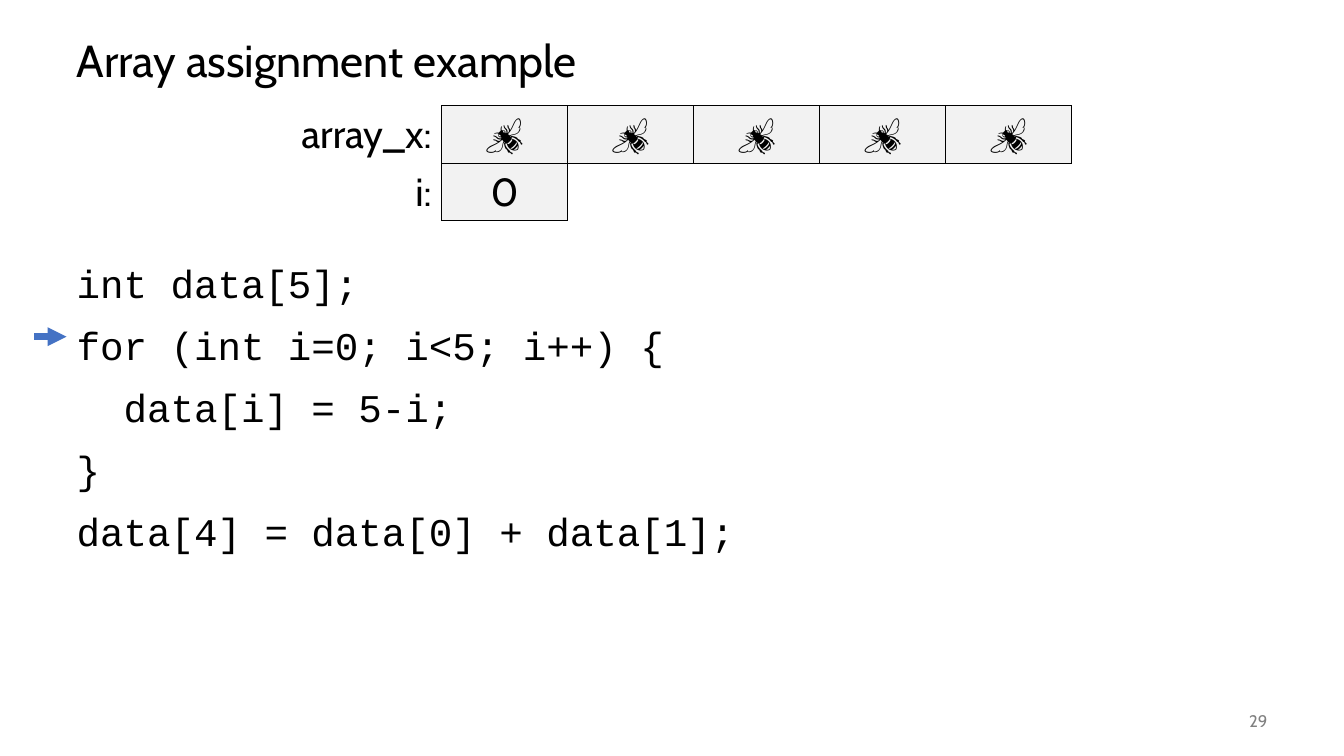
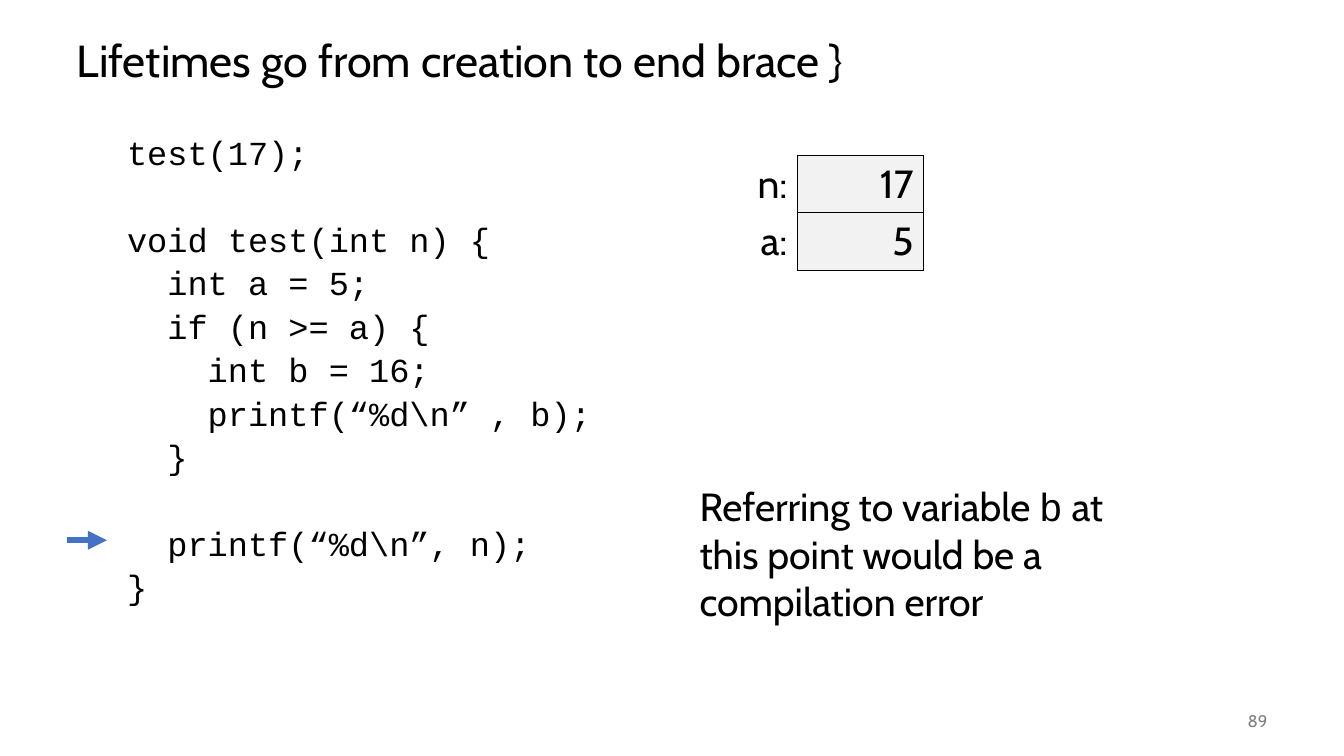
from dataclasses import dataclass

from lxml.etree import SubElement
from pptx import Presentation
from pptx.dml.color import RGBColor
from pptx.enum.shapes import MSO_CONNECTOR
from pptx.enum.text import MSO_ANCHOR, MSO_AUTO_SIZE, PP_ALIGN
from pptx.oxml.ns import qn
from pptx.util import Inches, Pt


@dataclass(frozen=True)
class Theme:
    text: str = "Cabin"
    code: str = "Courier New"
    ink: RGBColor = RGBColor(0, 0, 0)
    muted: RGBColor = RGBColor(0x80, 0x80, 0x80)
    cell: RGBColor = RGBColor(0xF2, 0xF2, 0xF2)
    accent: RGBColor = RGBColor(0x44, 0x72, 0xC4)
    title_size: int = 32
    body_size: int = 28
    small_code_size: int = 24
    number_size: int = 12
    border: float = 1
    arrow: float = 4.5
    row_height: float = 0.57
    no_grid: str = "{2D5ABB26-0587-4C30-8999-92F81FD0307C}"


def apply(target, values):
    for name, value in values.items():
        setattr(target, name, value)


class Deck:
    def __init__(self, theme):
        self.theme = theme
        self.prs = Presentation()
        apply(self.prs, {"slide_width": Inches(13.33), "slide_height": Inches(7.5)})
        self.slide = None

    def place(self, sp, left, top, width, height):
        box = {"left": left, "top": top, "width": width, "height": height}
        apply(sp, {name: Inches(value) for name, value in box.items()})

    def styled_run(self, p, text, size=None, font=None, color=None):
        r = p.add_run()
        r.text = text
        apply(r.font, {"name": font or self.theme.text,
                       "size": Pt(size or self.theme.body_size)})
        r.font.color.rgb = color or self.theme.ink

    def add_slide(self, title, number):
        self.slide = self.prs.slides.add_slide(self.prs.slide_layouts[1])
        sp = self.slide.shapes.title
        self.place(sp, 0.66, 0.25, 12, 0.75)
        apply(sp.text_frame, {"vertical_anchor": MSO_ANCHOR.MIDDLE,
                              "auto_size": MSO_AUTO_SIZE.NONE})
        p = sp.text_frame.paragraphs[0]
        apply(p, {"alignment": PP_ALIGN.LEFT, "line_spacing": 0.9})
        self.styled_run(p, title, self.theme.title_size)
        self.text([(str(number), None)], (11.67, 6.95, 1, 0.4),
                  self.theme.number_size, self.theme.muted, PP_ALIGN.RIGHT,
                  MSO_ANCHOR.MIDDLE)

    def text(self, runs, box, size=None, color=None, align=PP_ALIGN.LEFT,
             anchor=MSO_ANCHOR.TOP):
        sp = self.slide.shapes.add_textbox(*map(Inches, box))
        apply(sp.text_frame, {"word_wrap": True, "vertical_anchor": anchor})
        p = sp.text_frame.paragraphs[0]
        p.alignment = align
        for words, font in runs:
            self.styled_run(p, words, size, font, color)

    def code(self, source, top, size, line, gap, level=0):
        """Fill the body with code; an empty source line widens the gap."""
        sp = self.slide.placeholders[1]
        self.place(sp, 0.66, top, 12, 6.75 - top)
        tf = sp.text_frame
        tf.auto_size = MSO_AUTO_SIZE.NONE
        before = 0
        for row in source.split("\n"):
            if not row:
                before += line + gap
                continue
            p = tf.add_paragraph() if tf.paragraphs[0].runs else tf.paragraphs[0]
            apply(p, {"level": level, "alignment": PP_ALIGN.LEFT,
                      "line_spacing": Pt(line), "space_before": Pt(before)})
            pPr = p._p.get_or_add_pPr()
            pPr.set("marL", str(Inches(0.5 * level)))
            pPr.set("indent", "0")
            SubElement(pPr, qn("a:buNone"))
            self.styled_run(p, row, size, self.theme.code)
            before = gap

    def outline(self, cell, sides):
        for side in sides:
            ln = SubElement(cell._tc.get_or_add_tcPr(), qn(f"a:ln{side}"),
                            w=str(Pt(self.theme.border)))
            fill = SubElement(ln, qn("a:solidFill"))
            SubElement(fill, qn("a:srgbClr"), val=str(self.theme.ink))

    def variables(self, rows, left, top, label_width, align):
        """Draw memory as a table: a label, then one boxed cell per value."""
        t, cell_width = self.theme, 1.25
        count = max(len(values) for _, values in rows)
        width = label_width + count * cell_width
        frame = self.slide.shapes.add_table(
            len(rows), count + 1, Inches(left), Inches(top), Inches(width),
            Inches(len(rows) * t.row_height))
        table = frame.table
        apply(table, {"first_row": False, "horz_banding": False})
        table._tbl.tblPr.find(qn("a:tableStyleId")).text = t.no_grid
        for i, column in enumerate(table.columns):
            column.width = Inches(cell_width if i else label_width)
        for y, (label, values) in enumerate(rows):
            table.rows[y].height = Inches(t.row_height)
            for x, words in enumerate([label, *values]):
                cell = table.cell(y, x)
                p = cell.text_frame.paragraphs[0]
                p.alignment = align if x else PP_ALIGN.RIGHT
                self.styled_run(p, words)
                self.outline(cell, "LRTB" if x else "R")
                if x:
                    cell.fill.solid()
                    cell.fill.fore_color.rgb = t.cell

    def step_arrow(self, start, end, y):
        """Point at the line of code being run."""
        sp = self.slide.shapes.add_connector(
            MSO_CONNECTOR.STRAIGHT, *map(Inches, (start, y, end, y)))
        sp.line.color.rgb = self.theme.accent
        sp.line.width = Pt(self.theme.arrow)
        SubElement(sp.get_or_add_ln(), qn("a:tailEnd"), type="triangle")
        SubElement(sp._element.spPr, qn("a:effectLst"))


ARRAY_CODE = """int data[5];
for (int i=0; i<5; i++) {
  data[i] = 5-i;
}
data[4] = data[0] + data[1];"""

LIFETIME_CODE = r"""test(17);

void test(int n) {
  int a = 5;
  if (n >= a) {
    int b = 16;
    printf(“%d\n” , b);
  }

  printf(“%d\n”, n);
}"""


def main():
    theme = Theme()
    deck = Deck(theme)

    deck.add_slide("Array assignment example", 29)
    deck.code(ARRAY_CODE, top=2.57, size=theme.body_size, line=30.25, gap=14)
    deck.variables([("array_x:", ["🐝"] * 5), ("i:", ["0"])],
                   2.72, 1.05, 1.66, PP_ALIGN.CENTER)
    deck.step_arrow(0.34, 0.66, 3.34)

    deck.add_slide("Lifetimes go from creation to end brace }", 89)
    deck.code(LIFETIME_CODE, top=1.3, size=theme.small_code_size, line=26,
              gap=5, level=1)
    deck.variables([("n:", ["17"]), ("a:", ["5"])],
                   6.66, 1.54, 1.25, PP_ALIGN.RIGHT)
    deck.step_arrow(0.66, 1.06, 5.36)
    deck.text([("Referring to variable ", None), ("b", theme.code),
               (" at this point would be a compilation error", None)],
              (6.84, 4.74, 4.23, 1.51))

    deck.prs.save("out.pptx")


if __name__ == "__main__":
    main()
